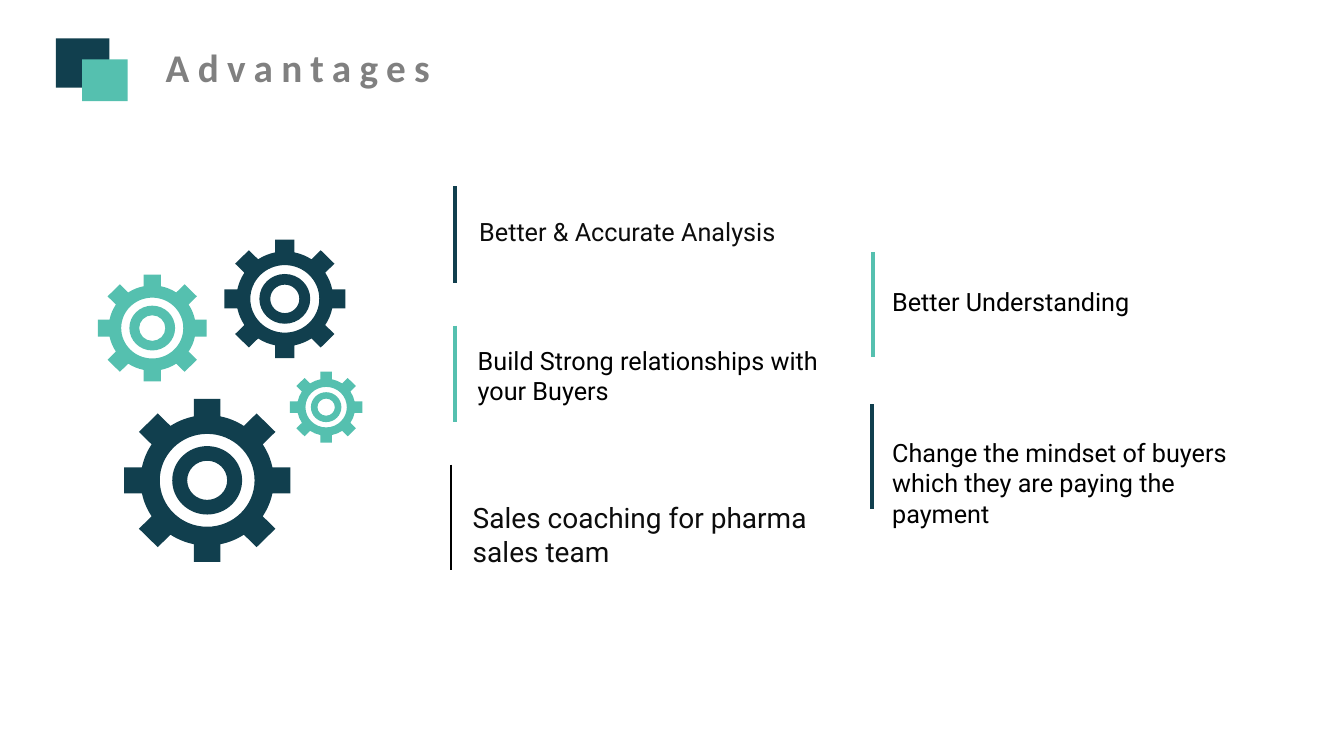
from dataclasses import dataclass
from itertools import pairwise
from math import asin, cos, pi, sin, tan

from lxml.etree import SubElement
from pptx import Presentation
from pptx.dml.color import RGBColor as RGB
from pptx.enum.shapes import MSO_CONNECTOR as Connector, MSO_SHAPE as Shape
from pptx.enum.text import MSO_ANCHOR as Anchor, MSO_AUTO_SIZE as AutoSize, PP_ALIGN as Align
from pptx.oxml.ns import qn
from pptx.util import Inches, Pt


@dataclass(frozen=True)
class Theme:
    """Colours, fonts and type sizes of the slide."""
    navy: RGB = RGB(0x11, 0x3F, 0x4E)
    teal: RGB = RGB(0x55, 0xC0, 0xAF)
    grey: RGB = RGB(0x80, 0x80, 0x80)
    black: RGB = RGB(0, 0, 0)
    ink: RGB = RGB(0x0D, 0x0D, 0x0D)
    title_font: str = "Calibri"
    body_font: str = "Roboto"
    title_size: int = 28
    title_spacing: int = 6
    body_size: int = 18
    large_size: int = 20
    thick: float = 3
    thin: float = 1.5


@dataclass(frozen=True)
class Point:
    """One advantage: text, colours, sizes and offsets in grid cells."""
    text: str
    bar: RGB
    ink: RGB
    bar_dx: float
    bar_height: float
    text_dx: float
    text_dy: float
    text_height: float
    size: int = Theme.body_size
    weight: float = Theme.thick


T = Theme()


def cells(n):
    """Return the length of n grid cells, ten to the inch."""
    return Inches(n / 10)


def paint(sp, color):
    """Give a shape a flat fill without outline or shadow."""
    sp.shadow.inherit = False
    sp.fill.solid()
    sp.fill.fore_color.rgb = color
    sp.line.fill.background()


def add_header(slide, box):
    """Place the two squares and the title in the box."""
    left, top, width, height = box
    squares = ((0, 0, 5.3, 4.9, T.navy), (2.6, 2.1, 4.5, 4.15, T.teal))
    for dx, dy, w, h, color in squares:
        sp = slide.shapes.add_shape(Shape.RECTANGLE, cells(left + dx), cells(top + dy),
                                    cells(w), cells(h))
        paint(sp, color)
    title = slide.shapes.title
    indent = 8.75
    title.left, title.top = cells(left + indent), cells(top)
    title.width, title.height = cells(width - indent), cells(height)
    tf = title.text_frame
    tf.text = "Advantages"
    tf.word_wrap = False
    tf.auto_size = AutoSize.NONE
    tf.vertical_anchor = Anchor.TOP
    p = tf.paragraphs[0]
    p.alignment = Align.CENTER
    p.font.name, p.font.size, p.font.bold = T.title_font, Pt(T.title_size), True
    p.font.color.rgb = T.grey
    p.runs[0]._r.get_or_add_rPr().set("spc", str(T.title_spacing * 100))


def polar(radius, angle, sweep=0):
    """Return a node, with the angle of the arc that leads to it."""
    return radius * cos(angle), radius * sin(angle), sweep


def circle(radius):
    """Return the nodes of a circle in four arcs."""
    return [polar(radius, i * pi / 2, pi / 2) for i in range(5)]


def gear_outline(teeth=8, root=0.8, half=0.16):
    """Return the nodes of the toothed outline of a gear of radius one."""
    pitch = 2 * pi / teeth
    edge = asin(half / root)
    nodes = []
    for i in range(teeth):
        a = i * pitch
        nodes += [(cos(a) - s * half * sin(a), sin(a) + s * half * cos(a), 0) for s in (-1, 1)]
        nodes += [polar(root, a + edge), polar(root, a + pitch - edge, pitch - 2 * edge)]
    return nodes


def bend(segment, start, end, rx, ry):
    """Turn a line segment into the arc between two nodes."""
    (u0, v0, _), (u1, v1, sweep) = start, end
    k = 4 / 3 * tan(sweep / 4)
    segment.tag = qn("a:cubicBezTo")
    controls = ((u0 - k * v0, v0 + k * u0), (u1 + k * v1, v1 - k * u1))
    for i, (u, v) in enumerate(controls):
        pt = SubElement(segment, qn("a:pt"), x=str(round(rx * (1 + u))),
                        y=str(round(ry * (1 + v))))
        segment.insert(i, pt)


def add_gear(slide, x, y, diameter, color):
    """Draw a gear with two rings around its centre."""
    rx = cells(diameter / 2)
    ry = rx * 0.98
    contours = (gear_outline(), circle(0.57), circle(0.42), circle(0.24))
    builder = None
    for contour in contours:
        start, *rest = [(cells(x) + rx * u, cells(y) + ry * v) for u, v, _ in contour]
        if builder is None:
            builder = slide.shapes.build_freeform(*start)
        else:
            builder.move_to(*start)
        builder.add_line_segments(rest)
    sp = builder.convert_to_shape()
    paint(sp, color)
    segments = list(sp._element.iter(qn("a:lnTo")))
    steps = [step for contour in contours for step in pairwise(contour)]
    for segment, (start, end) in zip(segments, steps):
        if end[2]:
            bend(segment, start, end, rx, ry)


def add_gears(slide, box):
    """Place the four gears in the box."""
    left, top = box[:2]
    gears = ((18.55, 5.95, 12, T.navy), (10.85, 23.95, 16.5, T.navy),
             (5.4, 8.85, 10.8, T.teal), (22.65, 16.7, 7.2, T.teal))
    for dx, dy, diameter, color in gears:
        add_gear(slide, left + dx, top + dy, diameter, color)


def add_bar(slide, x, y, height, color, weight):
    """Draw a vertical line."""
    bar = slide.shapes.add_connector(Connector.STRAIGHT, cells(x), cells(y),
                                     cells(x), cells(y + height))
    bar.line.color.rgb = color
    bar.line.width = Pt(weight)
    SubElement(bar._element.spPr, qn("a:effectLst"))


def add_points(slide, box, pitch, points):
    """Stack the points in the box, each beside its bar."""
    left, top, width = box[:3]
    for i, pt in enumerate(points):
        y = top + i * pitch
        add_bar(slide, left + pt.bar_dx, y, pt.bar_height, pt.bar, pt.weight)
        sp = slide.shapes.add_textbox(cells(left + pt.text_dx), cells(y + pt.text_dy),
                                      cells(width - pt.text_dx), cells(pt.text_height))
        tf = sp.text_frame
        tf.word_wrap = True
        tf.text = pt.text
        p = tf.paragraphs[0]
        p.font.name, p.font.size = T.body_font, Pt(pt.size)
        p.font.color.rgb = pt.ink


def main():
    """Build and save the slide."""
    prs = Presentation()
    prs.slide_width, prs.slide_height = Inches(13.33), Inches(7.5)
    slide = prs.slides.add_slide(prs.slide_layouts[5])
    add_header(slide, (5.55, 3.8, 39.25, 5.7))
    add_gears(slide, (9.7, 23.7, 26.3, 32.1))
    add_points(slide, (44.75, 18.5, 38.35, 38.4), 13.8, (
        Point("Better & Accurate Analysis", T.navy, T.ink, 0.4, 9.6, 1.8, 2.5, 4),
        Point("Build Strong relationships with your Buyers", T.teal, T.black,
              0.4, 9.6, 1.65, 1.45, 7.1),
        Point("Sales coaching for pharma sales team", T.black, T.ink,
              0, 10.45, 1.15, 3.1, 7.7, T.large_size, T.thin)))
    add_points(slide, (86.5, 25, 38.2, 28), 15.1, (
        Point("Better Understanding", T.teal, T.black, 0.1, 10.4, 1, 2.9, 4),
        Point("Change the mindset of buyers which they are paying the payment",
              T.navy, T.black, 0, 10.4, 1, 2.8, 10.1)))
    prs.save("out.pptx")


if __name__ == "__main__":
    main()
